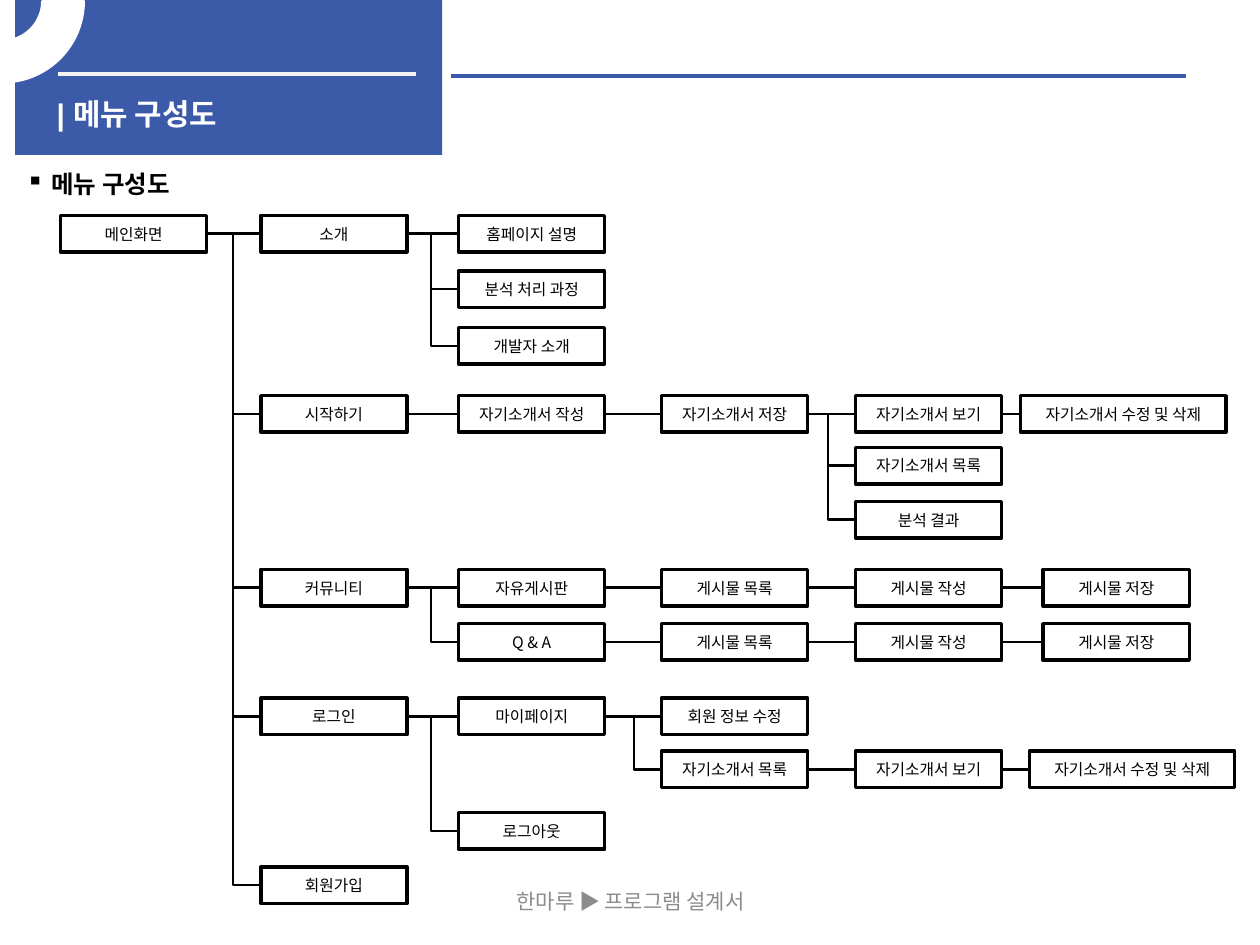
from dataclasses import dataclass, field

from lxml.etree import SubElement
from pptx import Presentation
from pptx.dml.color import RGBColor
from pptx.enum.shapes import MSO_CONNECTOR as LINK, MSO_SHAPE as SHAPE
from pptx.enum.text import MSO_ANCHOR as ANCHOR, PP_ALIGN as ALIGN
from pptx.oxml.ns import qn
from pptx.util import Inches, Pt

COLORS = {"blue": "3B5AA8", "white": "FFFFFF", "pale": "F2F2F2",
          "black": "000000", "gray": "8C8C8C"}
KOREAN = "Noto Sans CJK KR"
COLUMNS = [0.48, 2.07, 3.64, 5.25, 6.79, 8.28]
BOX_HEIGHT = 0.29
TRUNK_GAP = 0.22
RIGHT_SIDE, LEFT_SIDE = 3, 1


@dataclass
class Node:
    label: str
    top: float
    children: list = field(default_factory=list)
    left: float = None
    width: float = 1.16

    @property
    def middle(self):
        return self.top + BOX_HEIGHT / 2


def edit_node(left, top):
    return Node("자기소개서 수정 및 삭제", top, left=left, width=1.63)


def post_chain(label, top):
    """A board followed by its list, write and save screens."""
    save = Node("게시물 저장", top)
    write = Node("게시물 작성", top, [save])
    return Node(label, top, [Node("게시물 목록", top, [write])])


MENU = Node("메인화면", 1.71, [
    Node("소개", 1.71, [
        Node("홈페이지 설명", 1.71),
        Node("분석 처리 과정", 2.15),
        Node("개발자 소개", 2.6)]),
    Node("시작하기", 3.14, [
        Node("자기소개서 작성", 3.14, [
            Node("자기소개서 저장", 3.14, [
                Node("자기소개서 보기", 3.14, [edit_node(8.1, 3.14)]),
                Node("자기소개서 목록", 3.55),
                Node("분석 결과", 3.98)])])]),
    Node("커뮤니티", 4.52, [
        post_chain("자유게시판", 4.52),
        post_chain("Q & A", 4.95)]),
    Node("로그인", 5.54, [
        Node("마이페이지", 5.54, [
            Node("회원 정보 수정", 5.54),
            Node("자기소개서 목록", 5.96, [
                Node("자기소개서 보기", 5.96, [edit_node(8.17, 5.96)])])]),
        Node("로그아웃", 6.45)]),
    Node("회원가입", 6.88),
])


def color(name):
    return RGBColor.from_string(COLORS[name])


def set_font(font, size, color_name, latin=KOREAN, bold=False):
    font.size, font.bold, font.name = Pt(size), bold, latin
    font.color.rgb = color(color_name)
    SubElement(font._element, qn("a:ea"), typeface=KOREAN)


def add_block(page, kind, left, top, width, height, fill, line=None):
    block = page.shapes.add_shape(
        kind, Inches(left), Inches(top), Inches(width), Inches(height))
    block.shadow.inherit = False
    block.fill.solid()
    block.fill.fore_color.rgb = color(fill)
    if line:
        block.line.color.rgb = color(line)
        block.line.width = Pt(2)
    else:
        block.line.fill.background()
    return block


def add_line(page, start, end, color_name="black", width=1.5,
             kind=LINK.STRAIGHT):
    line = page.shapes.add_connector(
        kind, *(Inches(value) for value in (*start, *end)))
    line.line.color.rgb = color(color_name)
    line.line.width = Pt(width)
    SubElement(line._element.spPr, qn("a:effectLst"))
    return line


def add_elbow(page, start, end):
    """Runs down from start, then right to end: a quarter-turned bend."""
    center_x, center_y = (start[0] + end[0]) / 2, (start[1] + end[1]) / 2
    half_run, half_drop = (end[0] - start[0]) / 2, (end[1] - start[1]) / 2
    elbow = add_line(page, (center_x + half_drop, center_y - half_run),
                     (center_x - half_drop, center_y + half_run),
                     kind=LINK.ELBOW)
    properties = elbow._element.spPr
    properties.find(qn("a:xfrm")).set("rot", "16200000")
    properties.find(qn("a:prstGeom")).set("prst", "bentConnector2")
    return elbow


def add_text(page, text, left, top, width, height):
    box = page.shapes.add_textbox(
        Inches(left), Inches(top), Inches(width), Inches(height))
    frame = box.text_frame
    frame.word_wrap = True
    frame.vertical_anchor = ANCHOR.MIDDLE
    frame.text = text
    return frame.paragraphs[0]


def add_banner(page):
    add_block(page, SHAPE.RECTANGLE, 0.12, 0, 3.39, 1.23, "blue")
    add_line(page, (0.46, 0.59), (3.3, 0.59), "pale", 2.25)
    add_line(page, (3.58, 0.6), (9.41, 0.6), "blue", 2.25)
    ring = add_block(page, SHAPE.BLOCK_ARC, -0.63, -0.63, 1.29, 1.28,
                     "white", "white")
    for index, value in enumerate((0, 119.05, 0.25)):
        ring.adjustments[index] = value


def format_title(page):
    title = page.shapes.title
    page.shapes.element.append(title.element)  # in front of the banner
    title.left, title.top = Inches(0.35), Inches(0.76)
    title.width, title.height = Inches(3.23), Inches(0.3)
    frame = title.text_frame
    frame.vertical_anchor = ANCHOR.TOP
    frame.margin_top = frame.margin_bottom = 0
    para = frame.paragraphs[0]
    para.alignment = ALIGN.LEFT
    for text, latin in (("| ", "Arial"), ("메뉴 구성도", KOREAN)):
        span = para.add_run()
        span.text = text
        set_font(span.font, 17, "white", latin, bold=True)


def add_heading(page):
    para = add_text(page, "메뉴 구성도", 0.11, 1.29, 9.89, 0.34)
    para.space_before = Pt(3.5)
    properties = para._p.get_or_add_pPr()
    properties.set("marL", str(Inches(0.2)))
    properties.set("indent", str(-Inches(0.2)))
    bullet_color = SubElement(properties, qn("a:buClr"))
    SubElement(bullet_color, qn("a:srgbClr"), val=COLORS["black"])
    SubElement(properties, qn("a:buChar"), char="▪")
    set_font(para.font, 14, "black", "Lato", bold=True)


def add_footer(page):
    para = add_text(page, "한마루 ▶ 프로그램 설계서", 3.42, 6.95, 3.17, 0.4)
    para.alignment = ALIGN.CENTER
    set_font(para.font, 12, "gray")


def add_menu(page, node, level=0):
    """Draws a node with everything below it and returns its box."""
    left = node.left or COLUMNS[level]
    box = add_block(page, SHAPE.RECTANGLE, left, node.top, node.width,
                    BOX_HEIGHT, "white", "black")
    frame = box.text_frame
    frame.margin_left = frame.margin_right = 0
    frame.margin_top = frame.margin_bottom = 0
    frame.vertical_anchor = ANCHOR.MIDDLE
    frame.text = node.label
    para = frame.paragraphs[0]
    para.alignment = ALIGN.CENTER
    set_font(para.font, 9, "black")

    for child in node.children:
        child_box = add_menu(page, child, level + 1)
        child_left = child.left or COLUMNS[level + 1]
        trunk = child_left - TRUNK_GAP
        end = (child_left, child.middle)
        if child is node.children[0]:
            line = add_line(page, (left + node.width, node.middle), end)
            line.begin_connect(box, RIGHT_SIDE)
            line.end_connect(child_box, LEFT_SIDE)
        elif child is node.children[-1]:
            add_elbow(page, (trunk, node.middle), end)
        else:
            line = add_line(page, (trunk, child.middle), end)
            line.end_connect(child_box, LEFT_SIDE)
    return box


def main():
    deck = Presentation()
    deck.slide_width, deck.slide_height = Inches(10), Inches(7.5)
    page = deck.slides.add_slide(deck.slide_layouts[5])
    add_banner(page)
    format_title(page)
    add_footer(page)
    add_heading(page)
    add_menu(page, MENU)
    deck.save("out.pptx")


if __name__ == "__main__":
    main()
